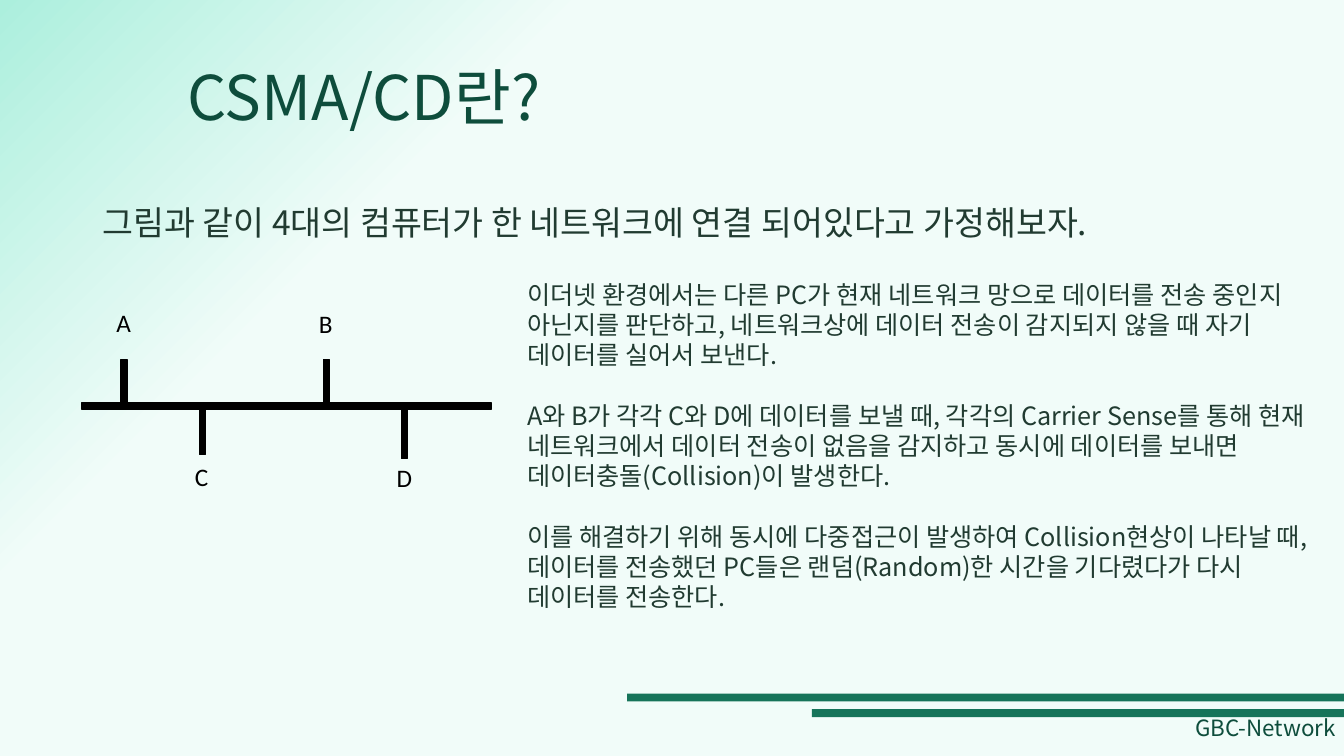
import pptx
import pptx.util
import pptx.dml.color
import pptx.enum.shapes
import pptx.enum.text
import pptx.oxml
import pptx.oxml.ns

Pt = pptx.util.Pt
RGBColor = pptx.dml.color.RGBColor
RECTANGLE = pptx.enum.shapes.MSO_SHAPE.RECTANGLE
ANCHOR = pptx.enum.text.MSO_ANCHOR
ALIGN = pptx.enum.text.PP_ALIGN

COLORS = {
    "mist": "F1FCF9",
    "mint": "ACEFDD",
    "bar": "16745A",
    "heading": "0E4D3C",
    "body": "213B31",
    "black": "000000",
}
KOREAN = "Noto Sans CJK KR"


def add_bar(shapes, left, top, width, height, color, outlined=False):
    shape = shapes.add_shape(RECTANGLE, Pt(left), Pt(top), Pt(width), Pt(height))
    shape.shadow.inherit = False
    shape.fill.solid()
    shape.fill.fore_color.rgb = RGBColor.from_string(COLORS[color])
    if outlined:
        shape.line.color.rgb = RGBColor.from_string(COLORS[color])
        shape.line.width = Pt(1)
    else:
        shape.line.fill.background()


def add_text(shapes, box, texts, size, color, font_name=KOREAN, paragraph_format={}, frame_format={}):
    frame = shapes.add_textbox(*[Pt(length) for length in box]).text_frame
    frame.word_wrap = True
    for name, value in frame_format.items():
        setattr(frame, name, value)
    for index, text in enumerate(texts):
        paragraph = frame.paragraphs[0] if index == 0 else frame.add_paragraph()
        for name, value in paragraph_format.items():
            setattr(paragraph, name, value)
        run = paragraph.add_run()
        run.text = text
        for name, value in {"name": font_name, "size": Pt(size)}.items():
            setattr(run.font, name, value)
        run.font.color.rgb = RGBColor.from_string(COLORS[color])
        east_asian = pptx.oxml.parse_xml(
            f'<a:ea {pptx.oxml.ns.nsdecls("a")} typeface="{font_name}"/>')
        run.font._element.find(pptx.oxml.ns.qn("a:latin")).addnext(east_asian)


presentation = pptx.Presentation()
presentation.slide_width = Pt(960)
presentation.slide_height = Pt(540)
slide = presentation.slides.add_slide(presentation.slide_layouts[6])

background = slide.background.fill
background.gradient()
background.gradient_angle = 135
for stop, (position, color) in zip(background.gradient_stops, [(0.72, "mist"), (1, "mint")]):
    stop.position = position
    stop.color.rgb = RGBColor.from_string(COLORS[color])

for left, top in [(580, 506.6), (448, 495.4)]:
    add_bar(slide.shapes, left, top, 960 - left, 5.6, "bar")

add_text(slide.shapes, (850, 509, 108, 26), ["GBC-Network"], 16, "heading",
         paragraph_format={"alignment": ALIGN.CENTER, "line_spacing": 0.9},
         frame_format={"word_wrap": False, "margin_left": 0, "margin_right": 0})
add_text(slide.shapes, (126.7, 19.4, 782, 104.4), ["CSMA/CD란?"], 44, "heading",
         paragraph_format={"line_spacing": 0.9},
         frame_format={"vertical_anchor": ANCHOR.MIDDLE})
add_text(slide.shapes, (66.2, 144, 828, 36.7),
         ["그림과 같이 4대의 컴퓨터가 한 네트워크에 연결 되어있다고 가정해보자."], 24, "body",
         paragraph_format={"line_spacing": 0.9})

network = slide.shapes.add_group_shape().shapes
add_bar(network, 58.3, 288, 293, 4.3, "black", outlined=True)
for computer, left, tap_top, label_top in [
    ("A", 86.4, 257, 216),
    ("B", 231, 257, 216.7),
    ("C", 142.5, 289.4, 326.2),
    ("D", 286.6, 292.3, 326.9),
]:
    add_bar(network, left, tap_top, 4.3, 35.3, "black", outlined=True)
    add_text(network, (left - 10.3, label_top, 39, 34.6), [computer], 18, "black", "Calibri")

explanation = [
    "이더넷 환경에서는 다른 PC가 현재 네트워크 망으로 데이터를 전송 중인지 아닌지를 판단하고, 네트워크상에 데이터 전송이 감지되지 않을 때 자기 데이터를 실어서 보낸다.",
    "A와 B가 각각 C와 D에 데이터를 보낼 때, 각각의 Carrier Sense를 통해 현재 네트워크에서 데이터 전송이 없음을 감지하고 동시에 데이터를 보내면 데이터충돌(Collision)이 발생한다.",
    "이를 해결하기 위해 동시에 다중접근이 발생하여 Collision현상이 나타날 때, 데이터를 전송했던 PC들은 랜덤(Random)한 시간을 기다렸다가 다시 데이터를 전송한다.",
]
add_text(slide.shapes, (369.4, 196, 579, 312.5), explanation, 18, "body",
         paragraph_format={"line_spacing": Pt(21.6), "space_after": Pt(21.6)})

presentation.save("out.pptx")
